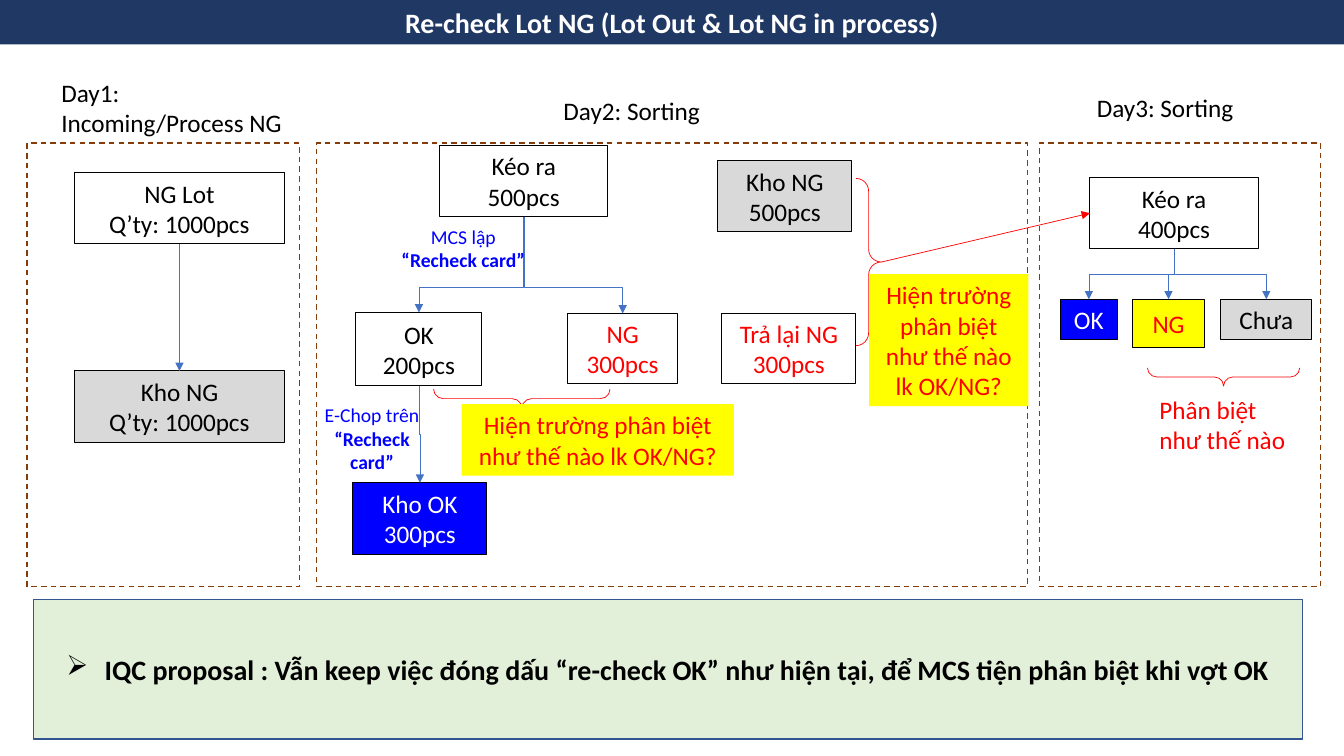
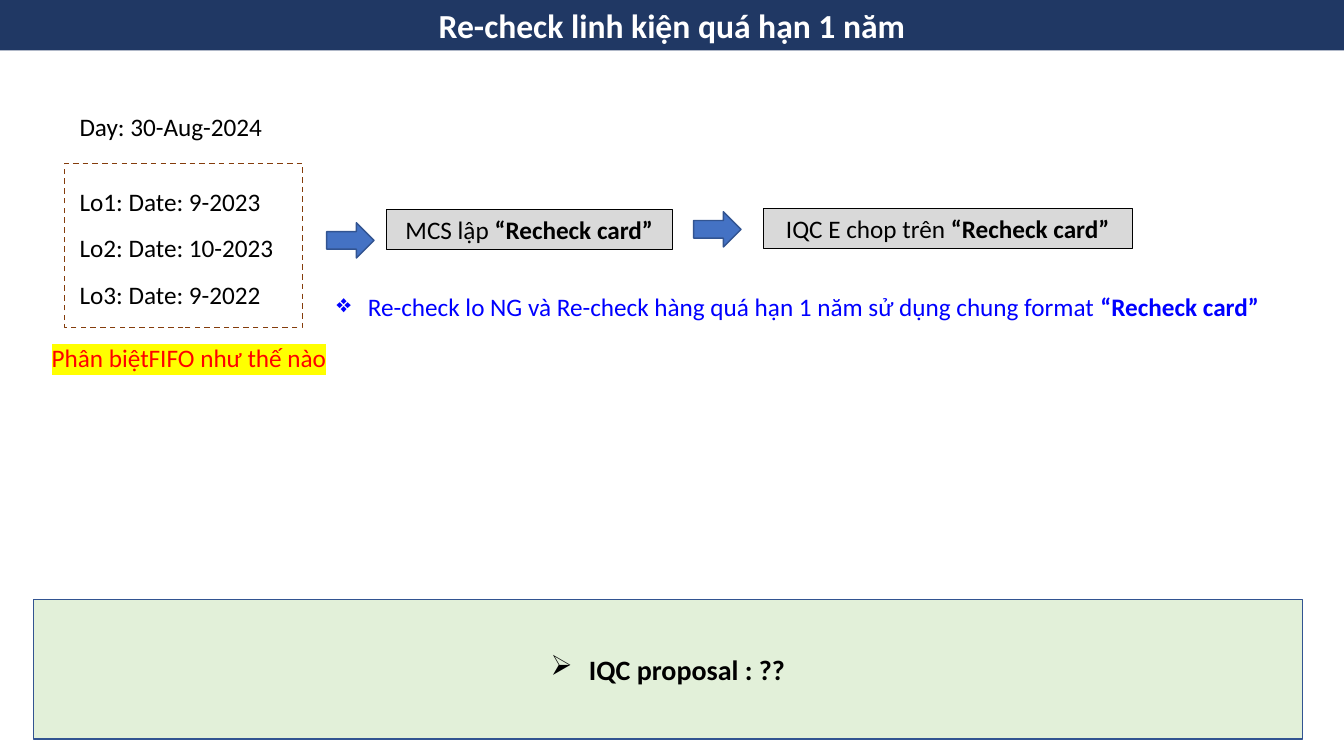
from lxml import etree
from pptx import Presentation
from pptx.dml.color import RGBColor
from pptx.enum.dml import MSO_LINE
from pptx.enum.shapes import MSO_CONNECTOR, MSO_SHAPE
from pptx.enum.text import MSO_ANCHOR, PP_ALIGN
from pptx.oxml.ns import qn
from pptx.util import Pt

PX = 9144  # EMU per px, 100 px to the inch
SLIDE_W, SLIDE_H = 1333, 750
FONT = "Calibri"
RECT, BRACE, ARROW = MSO_SHAPE.RECTANGLE, MSO_SHAPE.RIGHT_BRACE, MSO_SHAPE.RIGHT_ARROW
STRAIGHT, ELBOW = MSO_CONNECTOR.STRAIGHT, MSO_CONNECTOR.ELBOW
LEFT, CENTER = PP_ALIGN.LEFT, PP_ALIGN.CENTER
TOP, MIDDLE = MSO_ANCHOR.TOP, MSO_ANCHOR.MIDDLE
DASH = MSO_LINE.DASH
TOP_SIDE, LEFT_SIDE, BOTTOM_SIDE = 0, 1, 2

COLORS = {
    "navy": "203864", "white": "FFFFFF", "black": "000000", "gray": "D9D9D9",
    "blue": "0000FF", "red": "FF0000", "yellow": "FFFF00", "brown": "843C0B",
    "flow": "4472C4", "edge": "325491", "green": "E2F0D9",
}

# Slide 1. Text marks: *bold*; rectangles are (left, top, width, height)
DAY_FRAMES = [(27, 142, 270, 440), (314, 142, 705, 440), (1031, 142, 279, 440)]
DAY_LABELS = [
    ("Day1: Incoming/Process NG", (51, 72, 244, 71)),
    ("Day2: Sorting", (549, 90, 167, 40)),
    ("Day3: Sorting", (1078, 87, 167, 40)),
]
STEPS = {  # key: text, rectangle, fill, text colour
    "lot": ("NG Lot\nQ’ty: 1000pcs", (74, 171, 208, 71), None, "black"),
    "lot store": ("Kho NG\nQ’ty: 1000pcs", (74, 368, 208, 71), "gray", "black"),
    "pull 2": ("Kéo ra\n500pcs", (436, 144, 167, 71), None, "black"),
    "ok 2": ("OK\n200pcs", (353, 310, 125, 73), None, "black"),
    "ng 2": ("NG\n300pcs", (563, 311, 109, 70), None, "red"),
    "ok store": ("Kho OK\n300pcs", (350, 479, 133, 71), "blue", "white"),
    "ng store": ("Kho NG\n500pcs", (712, 159, 133, 71), "gray", "black"),
    "ng back": ("Trả lại NG\n300pcs", (716, 311, 133, 70), None, "red"),
    "pull 3": ("Kéo ra\n400pcs", (1081, 176, 167, 71), None, "black"),
    "ok 3": ("OK", (1052, 297, 56, 40), "blue", "white"),
    "ng 3": ("NG", (1123, 297, 72, 48), "yellow", "red"),
    "pending": ("Chưa", (1211, 297, 90, 40), "gray", "black"),
}
BRANCHES = [  # from, to, height of the bend
    ("pull 2", "ok 2", 285), ("pull 2", "ng 2", 285), ("ok 2", "ok store", 431),
    ("pull 3", "ok 3", 272), ("pull 3", "ng 3", 272), ("pull 3", "pending", 272),
]
NG_BRACE = (849, 177, 25, 166)
BRACES = [NG_BRACE, (430, 386, 175, 19), (1138, 365, 151, 18)]
CARD_NOTES = [
    ("MCS lập *“Recheck card”*", (379, 218, 161, 57)),
    ("E-Chop trên *“Recheck card”*", (302, 395, 134, 81)),
]
QUESTION = "Hiện trường phân biệt như thế nào lk OK/NG?"
QUESTION_SPOTS = [(458, 401, 270, 71), (862, 272, 158, 131)]
SPLIT_QUESTION = ("Phân biệt như thế nào", (1140, 386, 151, 71))

# Slide 2
CHECK_DAY = ("Day: 30-Aug-2024", (69, 106, 208, 40))
LOTS = ["Lo1: Date: 9-2023", "Lo2: Date: 10-2023", "Lo3: Date: 9-2022"]
LOT_FRAME = (64, 162, 236, 163)
LOT_TOP, LOT_PITCH = 180, 46
CARD_STEPS = [
    ("MCS lập *“Recheck card”*", (383, 208, 284, 40)),
    ("IQC E chop trên *“Recheck card”*", (757, 207, 366, 40)),
]
STEP_ARROWS = [(324, 221, 47, 35), (688, 210, 47, 35)]
FORMAT_NOTE = ("Re-check lo NG và Re-check hàng quá hạn 1 năm sử dụng chung format "
               "*“Recheck card”*", (324, 284, 939, 40))
FIFO_QUESTION = ("Phân biệtFIFO như thế nào", (22, 335, 331, 40))


def px(*lengths):
    return [round(length * PX) for length in lengths]


def rgb(name):
    return RGBColor.from_string(COLORS[name])


def write(shape, text, size=18, color="black", bold=False, align=LEFT, anchor=TOP,
          bullet=None, indent=0, highlight=None):
    """Fill a shape with text: one paragraph a line, *...* for bold runs."""
    frame = shape.text_frame
    frame.word_wrap = True
    frame.vertical_anchor = anchor
    for row, line in enumerate(text.split("\n")):
        paragraph = frame.add_paragraph() if row else frame.paragraphs[0]
        paragraph.alignment = align
        if bullet:
            props = paragraph._p.get_or_add_pPr()
            props.set("marL", str(indent * PX))
            props.set("indent", str(-indent * PX))
            etree.SubElement(props, qn("a:buChar"), char=bullet)
        for part, words in enumerate(line.split("*")):
            if not words:
                continue
            run = paragraph.add_run()
            run.text = words
            run.font.name, run.font.size = FONT, Pt(size)
            run.font.bold = bold or part % 2 == 1
            run.font.color.rgb = rgb(color)
            if highlight:
                mark = etree.Element(qn("a:highlight"))
                etree.SubElement(mark, qn("a:srgbClr"), val=COLORS[highlight])
                run.font._element.find(qn("a:solidFill")).addnext(mark)


def add_figure(slide, rect, kind=RECT, fill=None, line=None, width=0.75, dash=None):
    figure = slide.shapes.add_shape(kind, *px(*rect))
    figure.shadow.inherit = False
    if fill:
        figure.fill.solid()
        figure.fill.fore_color.rgb = rgb(fill)
    else:
        figure.fill.background()
    if line:
        figure.line.color.rgb = rgb(line)
        figure.line.width = Pt(width)
        if dash:
            figure.line.dash_style = dash
    else:
        figure.line.fill.background()
    return figure


def add_box(slide, text, rect, fill=None, line=None, width=0.75, **text_format):
    box = add_figure(slide, rect, fill=fill, line=line, width=width)
    write(box, text, **{"align": CENTER, "anchor": MIDDLE, **text_format})
    return box


def add_label(slide, text, rect, **text_format):
    write(slide.shapes.add_textbox(*px(*rect)), text, **text_format)


def add_dashed_frame(slide, rect):
    add_figure(slide, rect, line="brown", width=1, dash=DASH)


def add_brace(slide, rect):
    """Draw a brace that points right, or down when the rectangle is wide."""
    left, top, width, height = rect
    wide = width > height
    if wide:
        shift = (width - height) / 2
        rect = (left + shift, top - shift, height, width)
    brace = add_figure(slide, rect, BRACE, line="red", width=0.5)
    brace.adjustments[0] = 0.506
    brace.rotation = 90 if wide else 0


def add_arrow(slide, kind=STRAIGHT, color="flow", start=(0, 0)):
    arrow = slide.shapes.add_connector(kind, *px(*start, *start))
    arrow.line.color.rgb = rgb(color)
    arrow.line.width = Pt(0.5)
    etree.SubElement(arrow.line._get_or_add_ln(), qn("a:tailEnd"), type="triangle")
    etree.SubElement(arrow._element.spPr, qn("a:effectLst"))
    return arrow


def add_branch(slide, source, target, bend):
    """Join bottom to top with an elbow that leaves downwards and turns at bend."""
    arrow = add_arrow(slide, ELBOW)
    arrow.begin_connect(source, BOTTOM_SIDE)
    arrow.end_connect(target, TOP_SIDE)
    start_x, start_y = source.left + source.width // 2, source.top + source.height
    end_x, end_y = target.left + target.width // 2, target.top
    drop, reach = end_y - start_y, abs(end_x - start_x)
    arrow.left = (start_x + end_x - drop) // 2
    arrow.top = (start_y + end_y - reach) // 2
    arrow.width, arrow.height = drop, reach
    props = arrow._element.spPr
    transform = props.find(qn("a:xfrm"))
    for flip in ("flipH", "flipV"):
        transform.attrib.pop(flip, None)
    if end_x < start_x:
        transform.set("rot", "5400000")
    else:
        transform.set("rot", "16200000")
        transform.set("flipH", "1")
    turn = round((bend * PX - start_y) / drop * 100000)
    guides = props.find(qn("a:prstGeom")).find(qn("a:avLst"))
    etree.SubElement(guides, qn("a:gd"), name="adj1", fmla=f"val {turn}")


def add_page(deck, title, band_height, title_size, proposal):
    slide = deck.slides.add_slide(deck.slide_layouts[6])
    add_box(slide, title, (0, 0, SLIDE_W, band_height), fill="navy",
            size=title_size, color="white", bold=True)
    add_box(slide, f"IQC proposal : {proposal}", (33, 595, 1259, 138), fill="green",
            line="edge", width=1, size=20, bold=True, bullet="➢", indent=38)
    return slide


def build_lot_slide(deck):
    slide = add_page(
        deck, "Re-check Lot NG (Lot Out & Lot NG in process)", 44, 20,
        "Vẫn keep việc đóng dấu “re-check OK” như hiện tại, để MCS tiện phân biệt khi vợt OK")
    for rect in DAY_FRAMES:
        add_dashed_frame(slide, rect)
    for text, rect in DAY_LABELS:
        add_label(slide, text, rect)
    steps = {key: add_box(slide, text, rect, fill=fill, line="black", color=color)
             for key, (text, rect, fill, color) in STEPS.items()}
    for rect in BRACES:
        add_brace(slide, rect)
    for source, target, bend in BRANCHES:
        add_branch(slide, steps[source], steps[target], bend)
    store_arrow = add_arrow(slide)
    store_arrow.begin_connect(steps["lot"], BOTTOM_SIDE)
    store_arrow.end_connect(steps["lot store"], TOP_SIDE)
    left, top, width, height = NG_BRACE
    pull_arrow = add_arrow(slide, color="red", start=(left + width, top + height / 2))
    pull_arrow.end_connect(steps["pull 3"], LEFT_SIDE)
    for text, rect in CARD_NOTES:
        add_label(slide, text, rect, size=14, color="blue", align=CENTER)
    for rect in QUESTION_SPOTS:
        add_box(slide, QUESTION, rect, fill="yellow", color="red")
    add_label(slide, *SPLIT_QUESTION, color="red")


def build_expiry_slide(deck):
    slide = add_page(deck, "Re-check linh kiện quá hạn 1 năm", 50, 24, "??")
    add_label(slide, *CHECK_DAY)
    add_dashed_frame(slide, LOT_FRAME)
    for row, lot in enumerate(LOTS):
        add_label(slide, lot, (69, LOT_TOP + row * LOT_PITCH, 221, 40))
    for text, rect in CARD_STEPS:
        add_box(slide, text, rect, fill="gray", line="black")
    for rect in STEP_ARROWS:
        add_figure(slide, rect, ARROW, fill="flow", line="edge", width=1)
    add_label(slide, *FORMAT_NOTE, color="blue", bullet="❖", indent=31)
    add_label(slide, *FIFO_QUESTION, color="red", align=CENTER, highlight="yellow")


def main():
    deck = Presentation()
    deck.slide_width, deck.slide_height = px(SLIDE_W, SLIDE_H)
    build_lot_slide(deck)
    build_expiry_slide(deck)
    deck.save("out.pptx")


if __name__ == "__main__":
    main()
